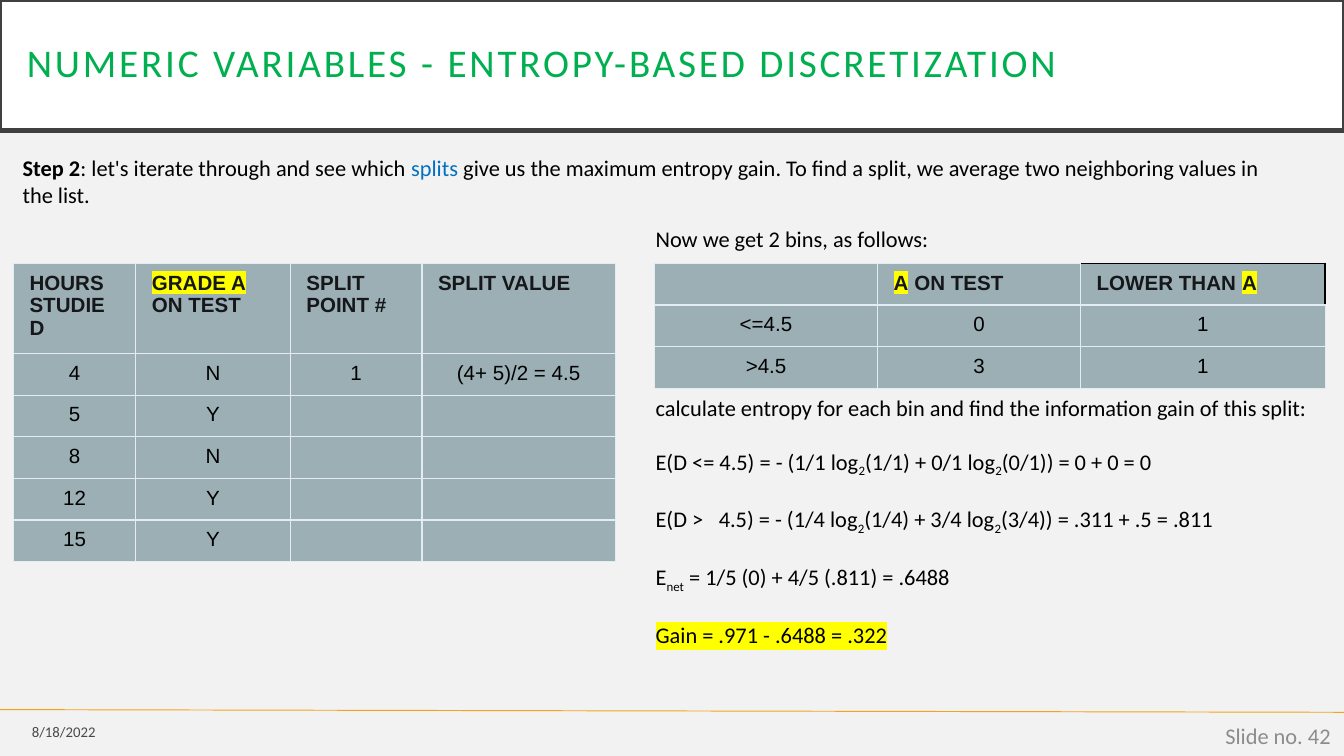
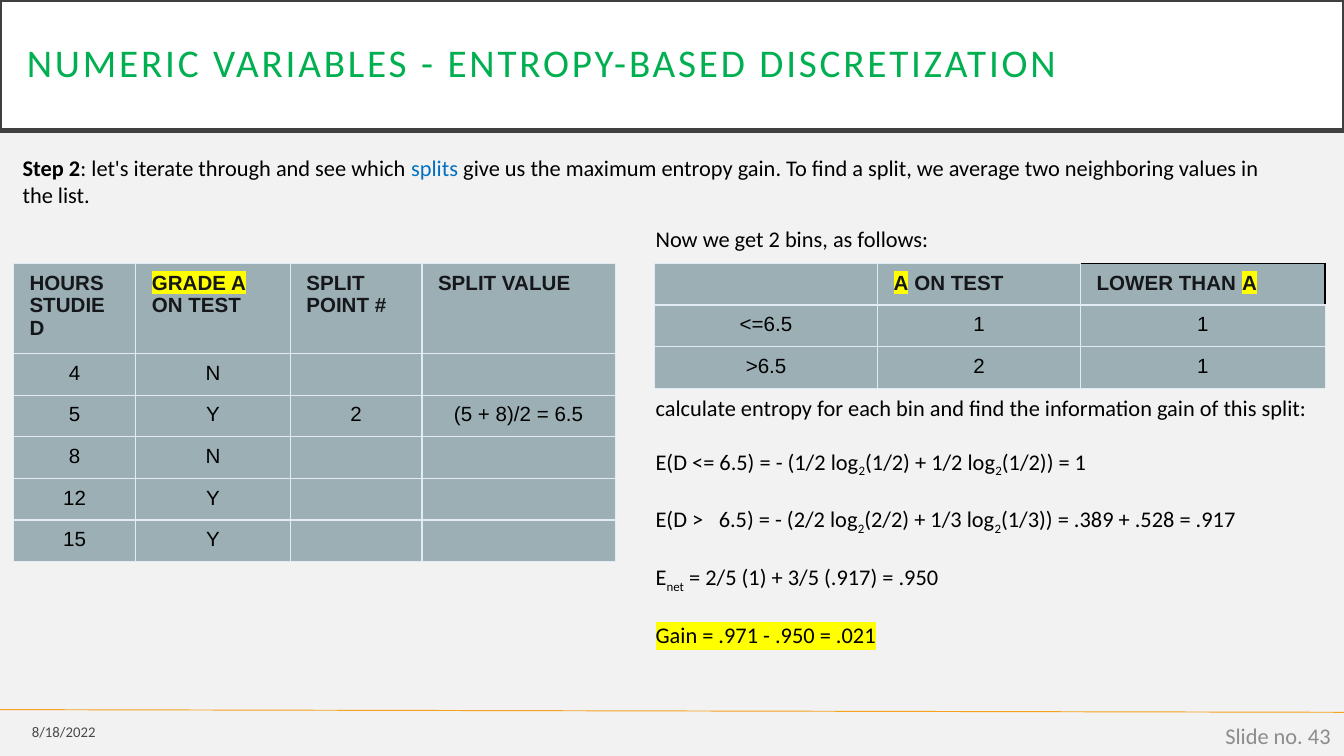
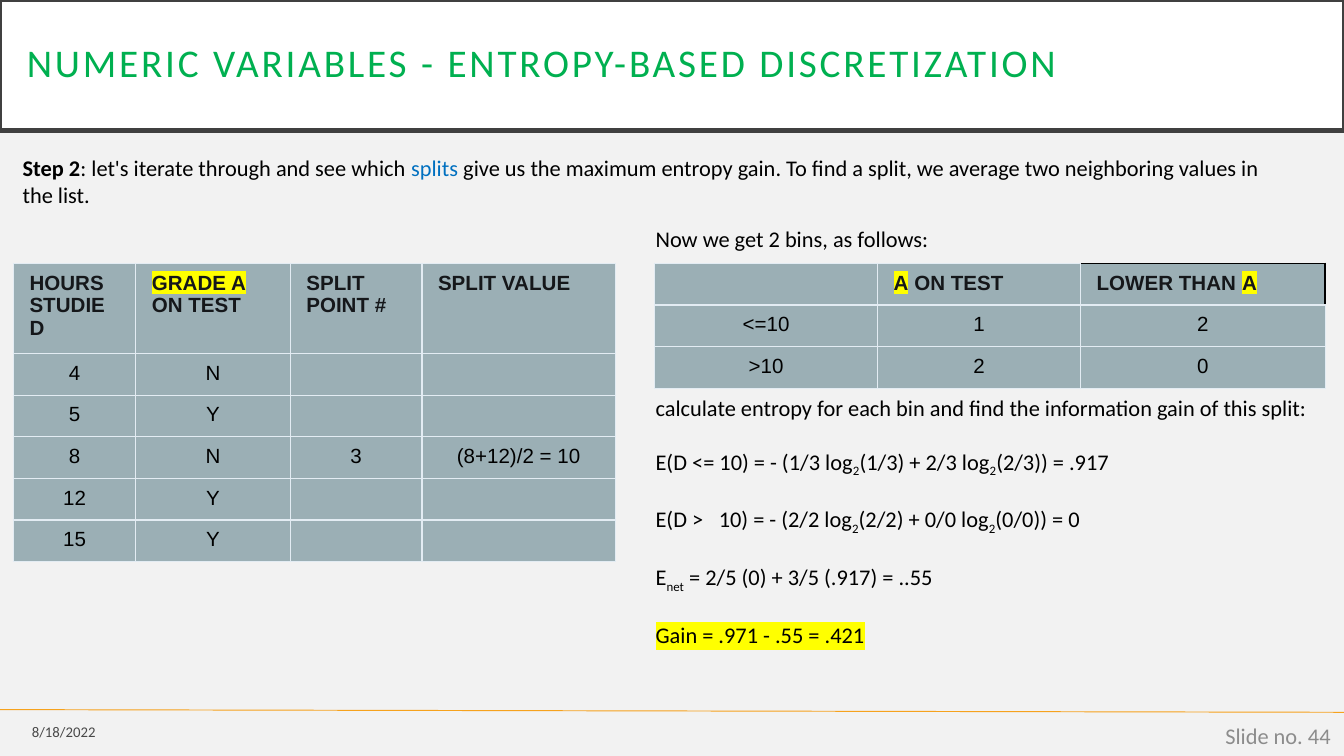
"""Build three slides that work through entropy-based discretization splits."""
from lxml.etree import SubElement
from pptx import Presentation
from pptx.dml.color import RGBColor
from pptx.enum.shapes import MSO_CONNECTOR
from pptx.enum.text import MSO_ANCHOR, MSO_AUTO_SIZE, PP_ALIGN
from pptx.oxml.ns import qn
from pptx.util import Inches, Pt

color = RGBColor.from_string
BLACK, YELLOW = "000000", "FFFF00"
CELL_FILL, CELL_BORDER, HEADER_TEXT = "9BAFB5", "E3ECF3", "15171A"
TITLE = "NUMERIC VARIABLES - ENTROPY-BASED DISCRETIZATION"
GRADES = [("4", "N"), ("5", "Y"), ("8", "N"), ("12", "Y"), ("15", "Y")]
GRADE_HEADER = ["HOURS STUDIED", "|GRADE A| ON TEST", "SPLIT POINT #", "SPLIT VALUE"]
BIN_HEADER = ["", "|A| ON TEST", "LOWER THAN |A|"]
STEP_RUNS = [
    ("Step 2", BLACK, True),
    (": let's iterate through and see which ", BLACK, False),
    ("splits", "0070C0", False),
    (" give us the maximum entropy gain. To find a split, we average two "
     "neighboring values in the list.", BLACK, False),
]
SPLITS = [
    {
        "value": "(4+ 5)/2 = 4.5",
        "bins": [["<=4.5", "0", "1"], [">4.5", "3", "1"]],
        "formulas": [
            "E(D <= 4.5) = - (1/1 log|2|(1/1) + 0/1 log|2|(0/1)) = 0 + 0 = 0",
            "E(D >\t4.5) = - (1/4 log|2|(1/4) + 3/4 log|2|(3/4)) = .311 + .5 = .811",
            "E|net| = 1/5 (0) + 4/5 (.811) = .6488",
        ],
        "gain": "Gain = .971 - .6488 = .322",
    },
    {
        "value": "(5 + 8)/2 = 6.5",
        "bins": [["<=6.5", "1", "1"], [">6.5", "2", "1"]],
        "formulas": [
            "E(D <= 6.5) = - (1/2 log|2|(1/2) + 1/2 log|2|(1/2)) = 1",
            "E(D >\t6.5) = - (2/2 log|2|(2/2) + 1/3 log|2|(1/3)) = .389 + .528 = .917",
            "E|net| = 2/5 (1) + 3/5 (.917) = .950",
        ],
        "gain": "Gain = .971 - .950 = .021",
    },
    {
        "value": "(8+12)/2 = 10",
        "bins": [["<=10", "1", "2"], [">10", "2", "0"]],
        "formulas": [
            "E(D <= 10) = - (1/3 log|2|(1/3) + 2/3 log|2|(2/3)) = .917",
            "E(D >\t10) = - (2/2 log|2|(2/2) + 0/0 log|2|(0/0)) = 0",
            "E|net| = 2/5 (0) + 3/5 (.917) = ..55",
        ],
        "gain": "Gain = .971 - .55 = .421",
    },
]


def add_run(paragraph, text, size=12, hex_color=BLACK, font="Calibri", bold=False,
            highlight=None, **properties):
    """Add one formatted run; extra keywords become run property attributes."""
    run = paragraph.add_run()
    run.text = text
    run.font.size = Pt(size)
    run.font.bold = bold
    run.font.color.rgb = color(hex_color)
    run_properties = run.font._element
    if highlight:
        mark = SubElement(run_properties, qn("a:highlight"))
        SubElement(mark, qn("a:srgbClr"), val=highlight)
    run.font.name = font
    for name, value in properties.items():
        run_properties.set(name, value)
    return run


def add_grid(slide, left, widths, heights, rows):
    """Add a filled, bordered table; text between bars in the header is highlighted."""
    table = slide.shapes.add_table(
        len(rows), len(widths), Inches(left), Inches(1.96),
        Inches(sum(widths)), Inches(sum(heights))).table
    table.horz_banding = False
    for column, width in zip(table.columns, widths):
        column.width = Inches(width)
    for row_index, (row, height) in enumerate(zip(rows, heights)):
        table.rows[row_index].height = Inches(height)
        for column_index, text in enumerate(row):
            cell = table.cell(row_index, column_index)
            cell.margin_left = cell.margin_right = Inches(0.12)
            cell.margin_top = cell.margin_bottom = Inches(0.06)
            header = row_index == 0
            dark_corner = header and text == BIN_HEADER[-1]
            cell_properties = cell._tc.get_or_add_tcPr()
            for side in "LRTB":
                dark = dark_corner and side in "RT"
                border = SubElement(cell_properties, qn(f"a:ln{side}"),
                                    w=str(Pt(1 if dark else 0.75)))
                border_fill = SubElement(border, qn("a:solidFill"))
                SubElement(border_fill, qn("a:srgbClr"), val=BLACK if dark else CELL_BORDER)
            cell.fill.solid()
            cell.fill.fore_color.rgb = color(CELL_FILL)
            paragraph = cell.text_frame.paragraphs[0]
            paragraph.alignment = PP_ALIGN.LEFT if header else PP_ALIGN.CENTER
            if not text:
                SubElement(paragraph._p, qn("a:endParaRPr"), sz="1100")
                continue
            for part_index, part in enumerate(text.split("|")):
                if part:
                    add_run(paragraph, part, 11, HEADER_TEXT if header else BLACK, "Arial",
                            header, YELLOW if part_index % 2 else None)


presentation = Presentation()
presentation.slide_width = Inches(10)
presentation.slide_height = Inches(10 * 9 / 16)
background = presentation.slide_master.background.fill
background.solid()
background.fore_color.rgb = color("F2F2F2")

for number, split in enumerate(SPLITS, start=1):
    slide = presentation.slides.add_slide(presentation.slide_layouts[5])

    title = slide.shapes.title
    title.left, title.top, title.width, title.height = 0, 0, Inches(10), Inches(0.97)
    title.fill.solid()
    title.fill.fore_color.rgb = color("FFFFFF")
    title.line.color.rgb = color("404040")
    title.line.width = Pt(2.5)
    frame = title.text_frame
    frame.auto_size = MSO_AUTO_SIZE.NONE
    frame.vertical_anchor = MSO_ANCHOR.MIDDLE
    frame.margin_left = frame.margin_right = Inches(0.2)
    frame.margin_top = frame.margin_bottom = Inches(0.2)
    paragraph = frame.paragraphs[0]
    paragraph.alignment = PP_ALIGN.LEFT
    paragraph.line_spacing = 0.9
    add_run(paragraph, TITLE, 21, "00B050", spc="150")

    footer_line = slide.shapes.add_connector(
        MSO_CONNECTOR.STRAIGHT, 0, Inches(5.28), Inches(10), Inches(5.3))
    footer_line.line.color.rgb = color("F6A21D")
    footer_line.line.width = Pt(0.5)
    SubElement(footer_line._element.spPr, qn("a:effectLst"))

    frames = {}
    for name, left, top, width, height in [
        ("date", 0, 5.31, 0.81, 0.27),
        ("number", 7.75, 5.32, 2.25, 0.3),
        ("step", 0.07, 1.1, 9.53, 0.71),
        ("bins", 4.78, 1.63, 2.27, 0.3),
        ("entropy", 4.78, 2.88, 5.13, 2.12),
    ]:
        frame = slide.shapes.add_textbox(
            Inches(left), Inches(top), Inches(width), Inches(height)).text_frame
        frame.word_wrap = name != "bins"
        if name in ("date", "number"):
            frame.vertical_anchor = MSO_ANCHOR.MIDDLE
            frame.paragraphs[0].alignment = PP_ALIGN.RIGHT
        else:
            frame.auto_size = MSO_AUTO_SIZE.SHAPE_TO_FIT_TEXT
        frames[name] = frame

    date_run = add_run(frames["date"].paragraphs[0], "8/18/2022", 7.9)
    date_color = date_run.font._element.find(".//" + qn("a:srgbClr"))
    SubElement(date_color, qn("a:alpha"), val="70000")
    add_run(frames["number"].paragraphs[0], f"Slide no. {41 + number}", 12, "8C8C8C")
    for text, hex_color, bold in STEP_RUNS:
        add_run(frames["step"].paragraphs[0], text, 12, hex_color, bold=bold)
    add_run(frames["bins"].paragraphs[0], "Now we get 2 bins, as follows:")

    grade_rows = [GRADE_HEADER]
    for row_number, grade in enumerate(GRADES, start=1):
        point = [str(number), split["value"]] if row_number == number else ["", ""]
        grade_rows.append([*grade, *point])
    add_grid(slide, 0.1, [0.91, 1.15, 0.98, 1.44], [0.67] + [0.31] * 5, grade_rows)
    add_grid(slide, 4.87, [1.66, 1.51, 1.82], [0.31] * 3, [BIN_HEADER, *split["bins"]])

    frame = frames["entropy"]
    add_run(frame.paragraphs[0],
            "calculate entropy for each bin and find the information gain of this split:")
    for formula in split["formulas"]:
        paragraph = frame.add_paragraph()
        paragraph.space_before = Pt(14.6)
        if "\t" in formula:
            tab_list = SubElement(paragraph._p.get_or_add_pPr(), qn("a:tabLst"))
            SubElement(tab_list, qn("a:tab"), pos=str(Inches(0.47)), algn="l")
        for part_index, part in enumerate(formula.split("|")):
            if part_index % 2:
                add_run(paragraph, part, baseline="-25000")
            else:
                add_run(paragraph, part)
    paragraph = frame.add_paragraph()
    paragraph.space_before = Pt(14.6)
    add_run(paragraph, split["gain"], highlight=YELLOW)

presentation.save("out.pptx")
